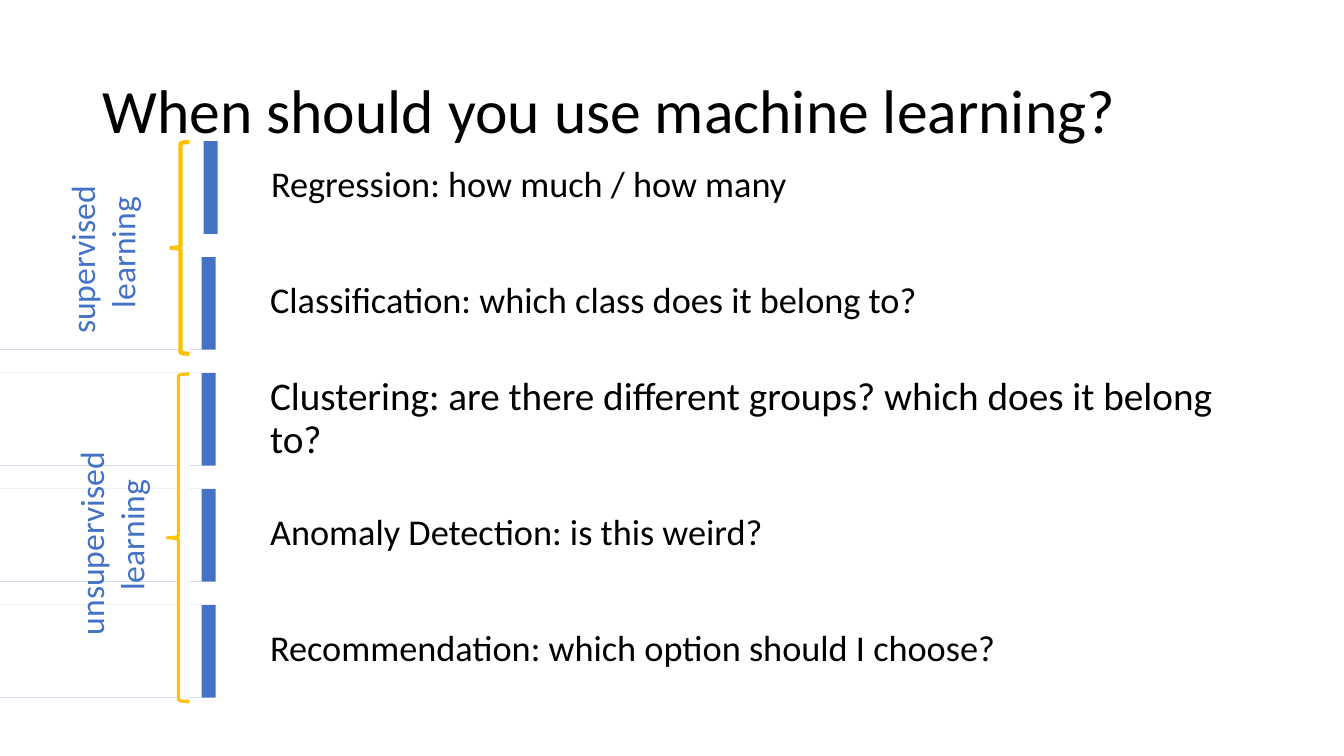
from dataclasses import dataclass

from pptx import Presentation
from pptx.dml.color import RGBColor
from pptx.enum.shapes import MSO_SHAPE
from pptx.enum.text import MSO_ANCHOR, PP_ALIGN
from pptx.util import Pt

RECTANGLE = MSO_SHAPE.RECTANGLE
LEFT_BRACE = MSO_SHAPE.LEFT_BRACE
TOP, MIDDLE = MSO_ANCHOR.TOP, MSO_ANCHOR.MIDDLE
LEFT, CENTER = PP_ALIGN.LEFT, PP_ALIGN.CENTER

BLACK = RGBColor(0x00, 0x00, 0x00)
WHITE = RGBColor(0xFF, 0xFF, 0xFF)
BLUE = RGBColor(0x44, 0x72, 0xC4)
GOLD = RGBColor(0xFF, 0xC0, 0x00)
FONT = "Calibri"

# Row grid, in points
FIRST_ROW_TOP = 100.8
ROW_PITCH = 82.8
ROW_HEIGHT = 66.24
STRIPE_WIDTH = 10.08
QUESTION_WIDTH = 741.6
QUESTION_INSET = 21.6


@dataclass(frozen=True)
class Box:
    left: float
    top: float
    width: float
    height: float

    def lengths(self) -> tuple[Pt, Pt, Pt, Pt]:
        return Pt(self.left), Pt(self.top), Pt(self.width), Pt(self.height)


@dataclass(frozen=True)
class Question:
    text: str
    bar_right: float = 154.1
    left: float = 171.36
    height: float = 33.84
    size: float = 25.9
    line_spacing: float = 0.8


@dataclass(frozen=True)
class Family:
    name: str
    label: Box
    brace: Box
    brace_weight: float


QUESTIONS = [
    Question("Regression: how much / how many", bar_right=155.52, left=172.08),
    Question("Classification: which class does it belong to?"),
    Question("Clustering: are there different groups? which does it belong to?",
             height=67.68, size=28, line_spacing=0.9),
    Question("Anomaly Detection: is this weird?"),
    Question("Recommendation: which option should I choose?"),
]

FAMILIES = [
    Family("supervised", Box(14.4, 141.1, 130.3, 78.5),
           Box(122.4, 101.5, 12.96, 151.2), 3),
    Family("unsupervised", Box(8.64, 342, 156.96, 80.64),
           Box(119.5, 267.1, 15.84, 234), 2.25),
]


def add_filled(slide, preset, box: Box, fill: RGBColor):
    """Add a preset shape with a plain fill, no line and no shadow."""
    shape = slide.shapes.add_shape(preset, *box.lengths())
    shape.shadow.inherit = False
    shape.fill.solid()
    shape.fill.fore_color.rgb = fill
    shape.line.fill.background()
    return shape


def add_text(slide, box: Box, lines: list[str], size: float, color: RGBColor,
             anchor=MIDDLE, inset: float = 7.2, line_spacing: float = 1.0,
             space_before: float = 0):
    """Add a wrapped text box with one paragraph per line."""
    text_box = slide.shapes.add_textbox(*box.lengths())
    frame = text_box.text_frame
    frame.word_wrap = True
    frame.vertical_anchor = anchor
    frame.margin_left = Pt(inset)
    frame.text = "\n".join(lines)
    for paragraph in frame.paragraphs:
        paragraph.alignment = LEFT
        paragraph.line_spacing = line_spacing
        paragraph.space_before = Pt(space_before)
        font = paragraph.runs[0].font
        font.name = FONT
        font.size = Pt(size)
        font.color.rgb = color
    return text_box


def add_bar(slide, question: Question, row_top: float) -> None:
    """Cover a blue band with white so that only its right stripe shows."""
    for width, fill in ((question.bar_right, BLUE),
                        (question.bar_right - STRIPE_WIDTH, WHITE)):
        add_filled(slide, RECTANGLE, Box(0, row_top, width, ROW_HEIGHT), fill)


def add_question(slide, question: Question, row_top: float) -> None:
    top = row_top + (ROW_HEIGHT - question.height) / 2
    add_text(slide, Box(question.left, top, QUESTION_WIDTH, question.height),
             [question.text], question.size, BLACK, inset=QUESTION_INSET,
             line_spacing=question.line_spacing, space_before=10)


def add_family(slide, family: Family) -> None:
    brace = add_filled(slide, LEFT_BRACE, family.brace, WHITE)
    brace.line.color.rgb = GOLD
    brace.line.width = Pt(family.brace_weight)
    label = add_text(slide, family.label, [family.name, "learning"], 24, BLUE,
                     anchor=TOP)
    label.text_frame.paragraphs[1].alignment = CENTER
    label.rotation = 270


def main() -> None:
    presentation = Presentation()
    presentation.slide_width = Pt(960)
    presentation.slide_height = Pt(540)
    slide = presentation.slides.add_slide(presentation.slide_layouts[6])

    # Title
    add_text(slide, Box(66.24, 28.8, 828, 104.4),
             ["When should you use machine learning?"], 44, BLACK,
             line_spacing=0.9)

    # Questions with their bars
    for row, question in enumerate(QUESTIONS):
        row_top = FIRST_ROW_TOP + row * ROW_PITCH
        add_bar(slide, question, row_top)
        add_question(slide, question, row_top)

    # Learning families
    for family in FAMILIES:
        add_family(slide, family)

    presentation.save("out.pptx")


if __name__ == "__main__":
    main()
